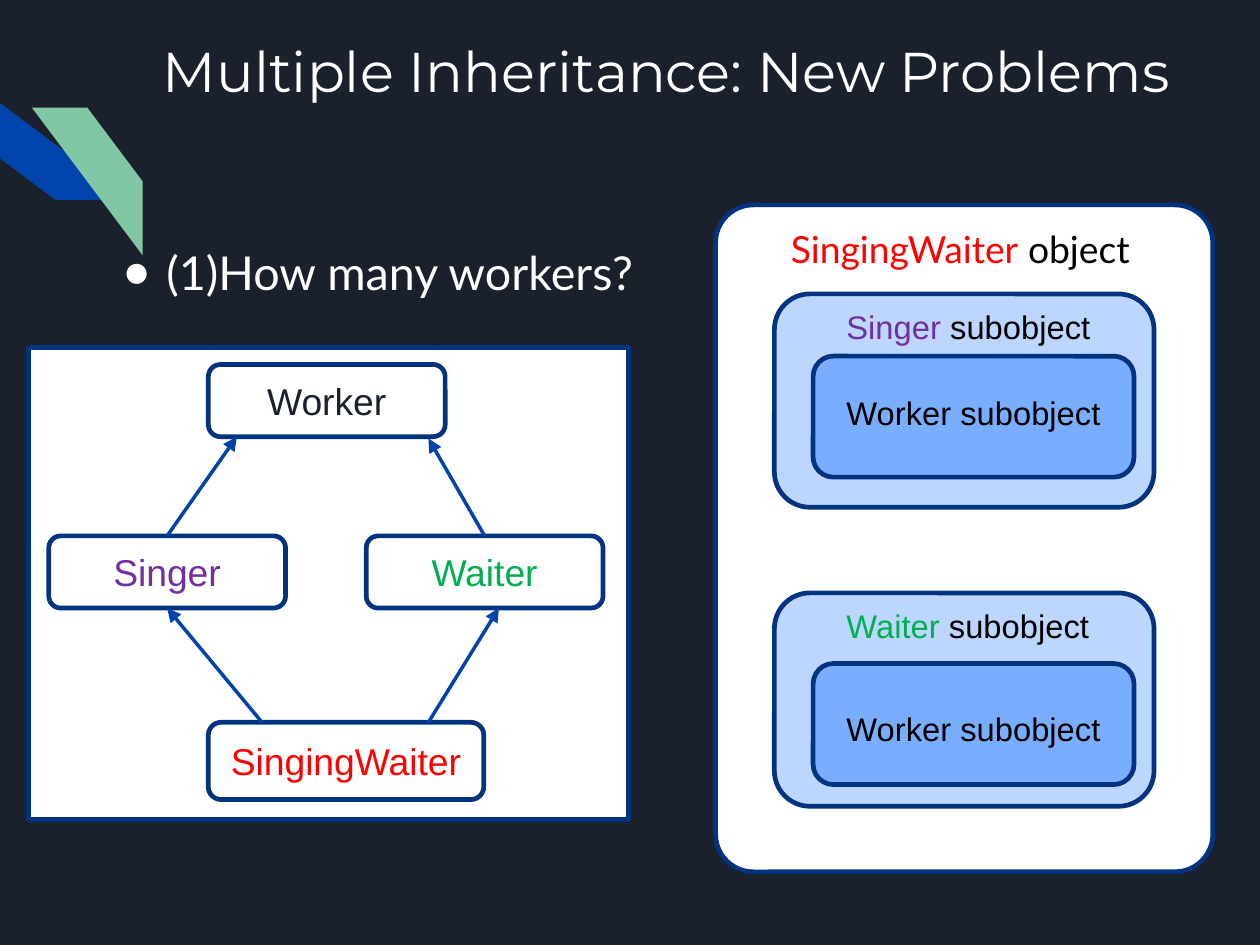
import pptx
import pptx.dml.color
import pptx.enum.shapes
import pptx.enum.text
import pptx.oxml.ns
import pptx.util
from lxml import etree

Inches = pptx.util.Inches
Pt = pptx.util.Pt
SHAPE = pptx.enum.shapes.MSO_SHAPE
ANCHOR = pptx.enum.text.MSO_ANCHOR
ALIGN = pptx.enum.text.PP_ALIGN
qn = pptx.oxml.ns.qn

COLOURS = {
    "background": "1B212C", "white": "FFFFFF", "black": "000000",
    "stripe_blue": "0145AC", "stripe_green": "82C7A5",
    "outline": "01337F", "arrow": "0043A9",
    "subobject": "BCD6FF", "inner": "79AEFE",
    "Worker": "1B212C", "Singer": "7030A0",
    "Waiter": "00B050", "SingingWaiter": "FF0000",
}


def colour(name):
    return pptx.dml.color.RGBColor.from_string(COLOURS[name])


def format_font(font, name, size, colour_name):
    font.name = name
    font.size = Pt(size)
    font.color.rgb = colour(colour_name)


def add_box(slide, kind, left, top, width, height, fill, outlined=True):
    shape = slide.shapes.add_shape(kind, Inches(left), Inches(top), Inches(width), Inches(height))
    shape.shadow.inherit = False
    shape.fill.solid()
    shape.fill.fore_color.rgb = colour(fill)
    if outlined:
        shape.line.color.rgb = colour("outline")
        shape.line.width = Pt(2)
    else:
        shape.line.fill.background()
    return shape


def add_label(slide, left, top, width, parts, font_name, size):
    """Place a one-line label; parts are (text, colour name) pairs."""
    text_box = slide.shapes.add_textbox(Inches(left), Inches(top), Inches(width), Inches(0.37))
    text_box.text_frame.word_wrap = True
    paragraph = text_box.text_frame.paragraphs[0]
    for text, colour_name in parts:
        run = paragraph.add_run()
        run.text = text
        format_font(run.font, font_name, size, colour_name)


def place_placeholder(placeholder, left, top, width, height, inset, text):
    placeholder.left, placeholder.top = Inches(left), Inches(top)
    placeholder.width, placeholder.height = Inches(width), Inches(height)
    frame = placeholder.text_frame
    frame.text = text
    frame.word_wrap = True
    frame.auto_size = pptx.enum.text.MSO_AUTO_SIZE.NONE
    frame.vertical_anchor = ANCHOR.TOP
    frame.margin_left = frame.margin_right = Inches(inset)
    frame.margin_top = frame.margin_bottom = Inches(inset)
    paragraph = frame.paragraphs[0]
    paragraph.alignment = ALIGN.LEFT
    paragraph.space_before = Pt(0)
    return paragraph


def add_stripes(slide, left, top):
    """Two crossing diagonal stripes at the left edge."""
    blue = add_box(slide, SHAPE.DIAGONAL_STRIPE, left, top, 0.66, 0.88, "stripe_blue", False)
    blue.rotation = 270
    green = add_box(slide, SHAPE.DIAGONAL_STRIPE, left + 0.19, top + 0.22, 0.66, 0.88,
                    "stripe_green", False)
    green._element.spPr.find(qn("a:xfrm")).set("flipH", "1")


def add_title(slide, left, top, width, height):
    paragraph = place_placeholder(slide.shapes.title, left, top, width, height, 0.07,
                                  "Multiple Inheritance: New Problems")
    format_font(paragraph.runs[0].font, "Montserrat", 24, "white")


def add_question(slide, left, top, width, height):
    paragraph = place_placeholder(slide.placeholders[1], left, top, width, height, 0.1,
                                  "(1)How many workers?")
    properties = paragraph._p.get_or_add_pPr()
    properties.set("marL", str(Inches(0.37)))
    properties.set("indent", str(Inches(-0.26)))
    bullet_colour = etree.SubElement(properties, qn("a:buClr"))
    etree.SubElement(bullet_colour, qn("a:srgbClr")).set("val", COLOURS["white"])
    etree.SubElement(properties, qn("a:buChar")).set("char", "●")
    paragraph.line_spacing = 1.15
    format_font(paragraph.runs[0].font, "Lato", 20, "white")


def add_subobject(slide, left, top, owner, inner_top, label_top):
    """A base-class subobject holding its own worker."""
    add_box(slide, SHAPE.ROUNDED_RECTANGLE, left, top, 2.26, 1.27, "subobject")
    add_label(slide, left + 0.33, top + 0.03, 1.74,
              [(owner, owner), (" subobject", "black")], "Arial", 14)
    add_box(slide, SHAPE.ROUNDED_RECTANGLE, left + 0.23, top + inner_top, 1.91, 0.72, "inner")
    add_label(slide, left + 0.33, top + label_top, 1.74,
              [("Worker subobject", "black")], "Arial", 14)


def add_object_layout(slide, left, top, width, height):
    """Memory layout of the derived object."""
    frame = add_box(slide, SHAPE.ROUNDED_RECTANGLE, left, top, width, height, "white")
    frame.adjustments[0] = 0.076
    add_label(slide, left + 0.35, top + 0.08, 2.33,
              [("SingingWaiter", "SingingWaiter"), (" object", "black")], "Lato", 16)
    add_subobject(slide, left + 0.35, top + 0.53, "Singer", 0.37, 0.54)
    add_subobject(slide, left + 0.35, top + 2.31, "Waiter", 0.42, 0.64)


def add_class(slide, left, top, width, height, name):
    shape = add_box(slide, SHAPE.ROUNDED_RECTANGLE, left, top, width, height, "white")
    shape.text_frame.text = name
    shape.text_frame.vertical_anchor = ANCHOR.MIDDLE
    paragraph = shape.text_frame.paragraphs[0]
    paragraph.alignment = ALIGN.CENTER
    format_font(paragraph.runs[0].font, "Arial", 16, name)
    return shape


def add_arrow(slide, start, end):
    arrow = slide.shapes.add_connector(pptx.enum.shapes.MSO_CONNECTOR.STRAIGHT,
                                       *map(Inches, start + end))
    arrow.line.color.rgb = colour("arrow")
    arrow.line.width = Pt(1.5)
    etree.SubElement(arrow.line._get_or_add_ln(), qn("a:tailEnd")).set("type", "triangle")
    etree.SubElement(arrow._element.spPr, qn("a:effectLst"))
    return arrow


def add_class_diagram(slide, left, top, width, height):
    """Diamond of classes with arrows to the base classes."""
    add_box(slide, SHAPE.RECTANGLE, left, top, width, height, "white")
    add_class(slide, left + 1.07, top + 0.1, 1.41, 0.43, "Worker")
    add_class(slide, left + 1.07, top + 2.23, 1.64, 0.46, "SingingWaiter")
    singer = add_class(slide, left + 0.12, top + 1.12, 1.41, 0.43, "Singer")
    waiter = add_class(slide, left + 2.01, top + 1.12, 1.41, 0.43, "Waiter")

    def at(x, y):
        return (left + x, top + y)

    add_arrow(slide, at(0.82, 1.12), at(1.24, 0.53)).begin_connect(singer, 0)
    add_arrow(slide, at(2.72, 1.12), at(2.38, 0.54)).begin_connect(waiter, 0)
    add_arrow(slide, at(1.39, 2.23), at(0.82, 1.55)).end_connect(singer, 2)
    add_arrow(slide, at(2.38, 2.23), at(2.8, 1.55))


def main():
    presentation = pptx.Presentation()
    presentation.slide_width = Inches(7.5)
    presentation.slide_height = Inches(7.5 * 3 / 4)
    slide = presentation.slides.add_slide(presentation.slide_layouts[1])
    slide.background.fill.solid()
    slide.background.fill.fore_color.rgb = colour("background")

    add_stripes(slide, 0, 0.42)
    add_title(slide, 0.9, 0.15, 6.52, 0.75)
    add_question(slide, 0.52, 1.3, 6.91, 3.18)
    add_object_layout(slide, 4.26, 1.22, 2.96, 3.97)
    add_class_diagram(slide, 0.17, 2.07, 3.57, 2.81)
    presentation.save("out.pptx")


if __name__ == "__main__":
    main()
